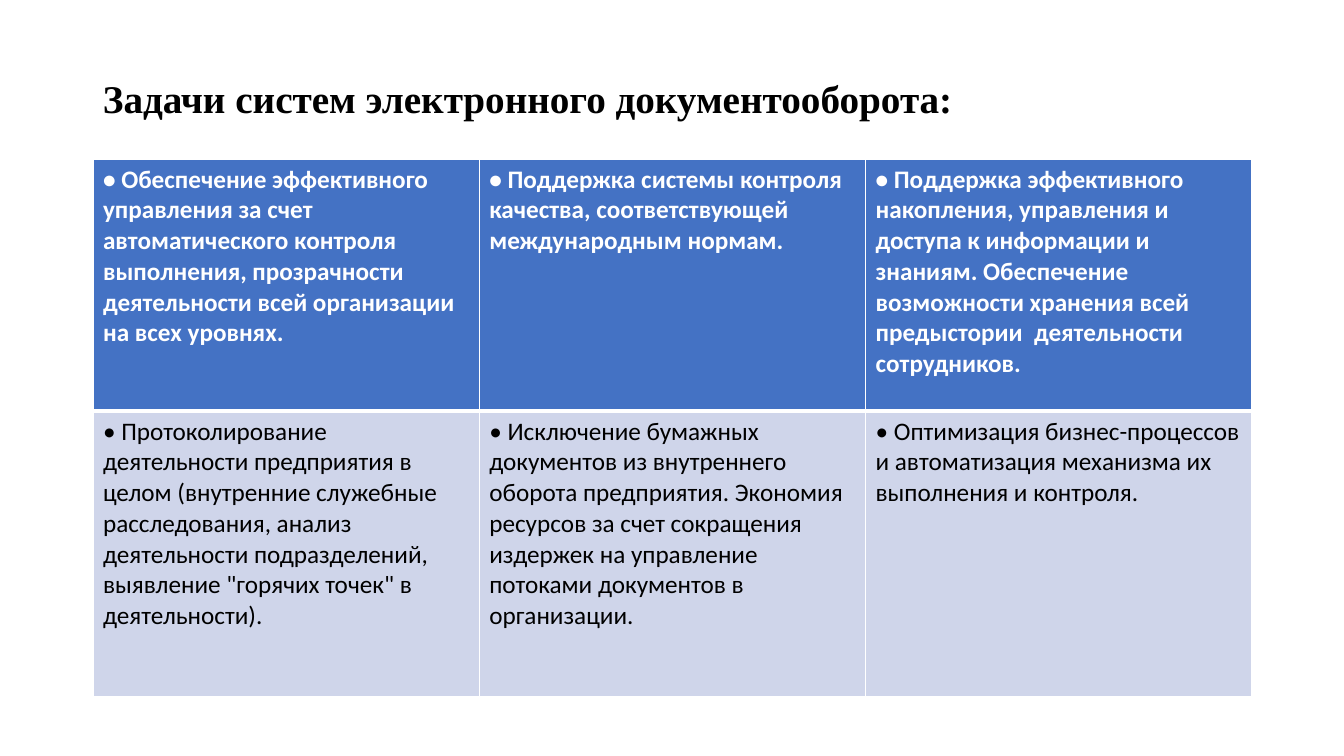
from lxml.etree import SubElement
from pptx import Presentation
from pptx.dml.color import RGBColor
from pptx.enum.text import MSO_ANCHOR
from pptx.oxml.ns import qn
from pptx.util import Emu, Pt

TITLE = "Задачи систем электронного документооборота:"
TASKS = [
    [
        "• Обеспечение эффективного управления за счет автоматического контроля выполнения, прозрачности деятельности всей организации на всех уровнях.",
        "• Поддержка системы контроля качества, соответствующей международным нормам.",
        "• Поддержка эффективного накопления, управления и доступа к информации и знаниям. Обеспечение возможности хранения всей предыстории  деятельности сотрудников.",
    ],
    [
        "• Протоколирование деятельности предприятия в целом (внутренние служебные расследования, анализ деятельности подразделений, выявление \"горячих точек\" в деятельности).",
        "• Исключение бумажных документов из внутреннего оборота предприятия. Экономия ресурсов за счет сокращения издержек на управление потоками документов в организации.",
        "• Оптимизация бизнес-процессов и автоматизация механизма их выполнения и контроля.",
    ],
]
ROWS = [
    {"height": 252, "fill": "4472C4", "color": "FFFFFF", "bold": True,
     "borders": {"lnL": 1, "lnR": 1, "lnT": 1, "lnB": 3}},
    {"height": 286, "fill": "CFD5EA", "color": "000000", "bold": False,
     "borders": {"lnL": 1, "lnR": 1, "lnT": 3, "lnB": 1}},
]
LEFT, WIDTH = 93, 1159
TITLE_TOP, TITLE_HEIGHT, TITLE_INSET = 40, 146, 31
TABLE_TOP = 159


def px(n):
    return Emu(round(n * 914400 / 100.8))


def rgb(value):
    return RGBColor.from_string(value)


def set_font(p, name, size, color, bold):
    f = p.font
    f.name, f.size, f.bold = name, Pt(size), bold
    f.color.rgb = rgb(color)


def set_borders(cell, borders):
    tcPr = cell._tc.get_or_add_tcPr()
    for i, (side, width) in enumerate(borders.items()):
        ln = SubElement(tcPr, qn(f"a:{side}"), w=str(Pt(width)))
        fill = SubElement(ln, qn("a:solidFill"))
        SubElement(fill, qn("a:srgbClr"), val="FFFFFF")
        tcPr.insert(i, ln)


def add_title(s):
    tf = s.shapes.add_textbox(px(LEFT), px(TITLE_TOP), px(WIDTH), px(TITLE_HEIGHT)).text_frame
    tf.word_wrap = True
    tf.vertical_anchor = MSO_ANCHOR.TOP
    tf.margin_top = px(TITLE_INSET)
    p = tf.paragraphs[0]
    p.text = TITLE
    p.line_spacing = 1.07
    set_font(p, "Times New Roman", 28, "000000", True)


def add_tasks(s):
    height = sum(row["height"] for row in ROWS)
    table = s.shapes.add_table(len(TASKS), len(TASKS[0]), px(LEFT), px(TABLE_TOP),
                               px(WIDTH), px(height)).table
    for r, (row, texts) in enumerate(zip(ROWS, TASKS)):
        table.rows[r].height = px(row["height"])
        for c, text in enumerate(texts):
            cell = table.cell(r, c)
            cell.fill.solid()
            cell.fill.fore_color.rgb = rgb(row["fill"])
            set_borders(cell, row["borders"])
            p = cell.text_frame.paragraphs[0]
            p.text = text
            set_font(p, "Calibri", 18, row["color"], row["bold"])


def main():
    """Build the slide on the tasks of document management systems."""
    prs = Presentation()
    prs.slide_width, prs.slide_height = px(1344), px(756)
    s = prs.slides.add_slide(prs.slide_layouts[6])
    add_title(s)
    add_tasks(s)
    prs.save("out.pptx")


if __name__ == "__main__":
    main()
